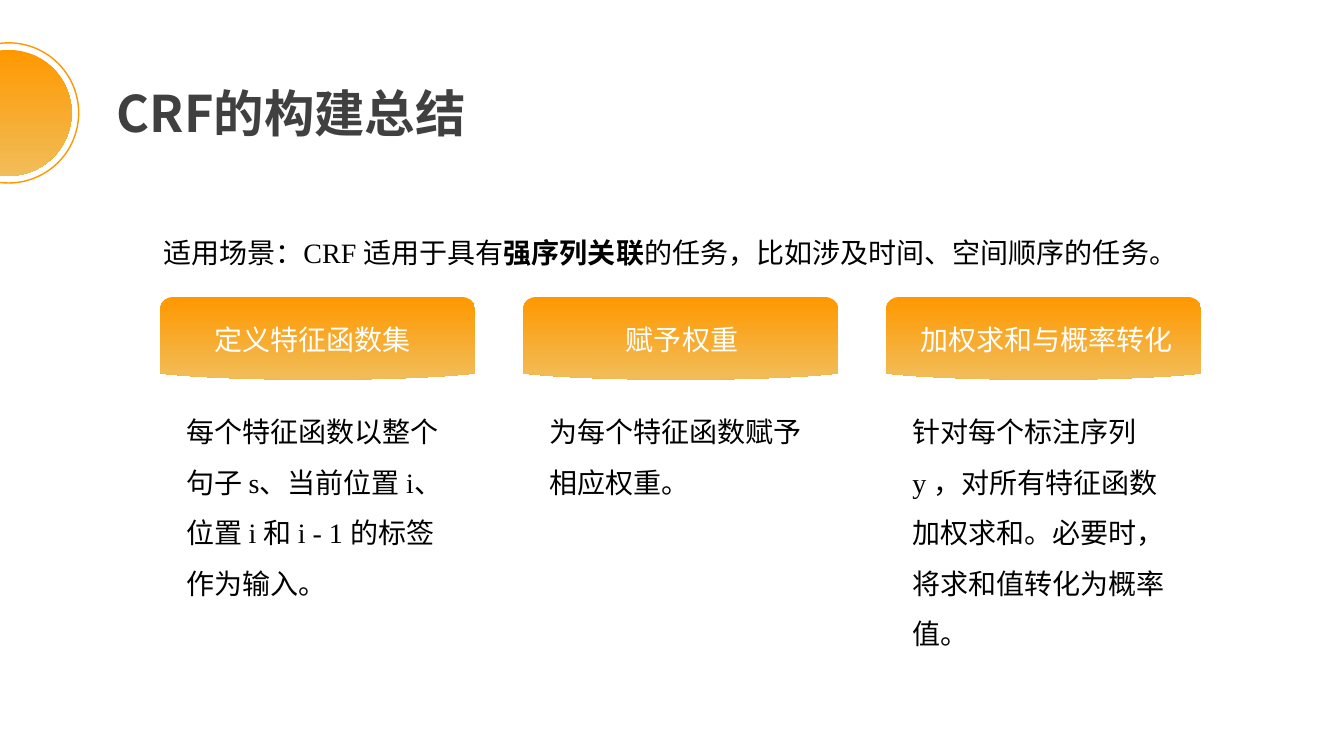
from pptx import Presentation
from pptx.dml.color import RGBColor
from pptx.enum.shapes import MSO_SHAPE as Shape
from pptx.enum.text import MSO_AUTO_SIZE as AutoSize
from pptx.oxml.ns import qn
from pptx.util import Inches, Pt
from lxml import etree

TITLE = "CRF的构建总结"
SCENARIO = [
    ("适用场景：CRF 适用于具有", False),
    ("强序列关联", True),
    ("的任务，比如涉及时间、空间顺序的任务。", False),
]
STEPS = [
    ("定义特征函数集", 2.03, 2.23,
     "每个特征函数以整个句子 s、当前位置 i、位置 i 和 i - 1 的标签作为输入。", 2.12),
    ("赋予权重", 6.11, 1.38, "为每个特征函数赋予相应权重。", 1.11),
    ("加权求和与概率转化", 9.03, 2.73,
     "针对每个标注序列 y ，对所有特征函数加权求和。必要时，将求和值转化为概率值。", 2.12),
]
SANS, SERIF = "Noto Sans CJK SC", "Times New Roman"
ORANGE, SAND, BLACK, GRAY, WHITE = "FF9800", "F1BD59", "000000", "404040", "FFFFFF"
BANNER_LEFT, BANNER_TOP, BANNER_PITCH = 1.59, 2.945, 3.6
PANEL_SIDE, PANEL_ROUNDING = 3.12, 0.043
BANNER_START = (0.13, 0)
BANNER_OUTLINE = [
    [(2.98, 0)],
    [(3.06, 0), (3.12, 0.05), (3.12, 0.11)],
    [(3.12, 0.76)],
    [(2.9, 0.78)],
    [(2.48, 0.81), (2.03, 0.82), (1.56, 0.82)],
    [(1.09, 0.82), (0.64, 0.81), (0.22, 0.78)],
    [(0, 0.76)],
    [(0, 0.11)],
    [(0, 0.05), (0.06, 0), BANNER_START],
]


def color(value):
    return RGBColor.from_string(value)


def add_banner(left):
    def place(point):
        return Inches(left + point[0]), Inches(BANNER_TOP + point[1])

    builder = slide.shapes.build_freeform(*place(BANNER_START))
    builder.add_line_segments([place(segment[-1]) for segment in BANNER_OUTLINE], close=True)
    banner = builder.convert_to_shape()
    edges = list(banner._element.iter(qn("a:lnTo")))
    for edge, segment in zip(edges, BANNER_OUTLINE):
        if len(segment) == 3:
            edge.tag = qn("a:cubicBezTo")
            for index, (x, y) in enumerate(segment[:2]):
                control = etree.Element(qn("a:pt"), x=str(Inches(x)), y=str(Inches(y)))
                edge.insert(index, control)
    paint_gradient(banner)


def paint_gradient(shape):
    shape.shadow.inherit = False
    shape.line.fill.background()
    shape.fill.gradient()
    shape.fill.gradient_angle = 270
    for stop, value in zip(shape.fill.gradient_stops, (ORANGE, SAND)):
        stop.color.rgb = color(value)


def add_panel(left):
    panel = slide.shapes.add_shape(
        Shape.ROUNDED_RECTANGLE, *map(Inches, (left, BANNER_TOP, PANEL_SIDE, PANEL_SIDE - 0.18)))
    panel.adjustments[0] = PANEL_ROUNDING
    panel.shadow.inherit = False
    panel.fill.solid()
    panel.fill.fore_color.rgb = color(WHITE)
    panel.line.fill.background()


def add_circle(center_x, center_y, diameter):
    corner = center_x - diameter / 2, center_y - diameter / 2
    return slide.shapes.add_shape(
        Shape.OVAL, *map(Inches, (*corner, diameter, diameter)))


def add_text(box, parts, size, value, font=SERIF, spacing=None):
    frame = slide.shapes.add_textbox(*map(Inches, box)).text_frame
    frame.word_wrap = True
    frame.auto_size = AutoSize.SHAPE_TO_FIT_TEXT
    paragraph = frame.paragraphs[0]
    paragraph.line_spacing = spacing
    for wording, bold in parts:
        run = paragraph.add_run()
        run.text = wording
        run.font.size = Pt(size)
        run.font.bold = bold
        run.font.name = font
        run.font.color.rgb = color(value)
        etree.SubElement(run.font._element, qn("a:ea")).set("typeface", SANS)


deck = Presentation()
deck.slide_width, deck.slide_height = Inches(13.33), Inches(7.5)
slide = deck.slides.add_slide(deck.slide_layouts[6])

add_text((1.52, 2.2, 10.56, 0.52), SCENARIO, 20, BLACK, spacing=1.25)

lefts = [BANNER_LEFT + index * BANNER_PITCH for index in range(len(STEPS))]
for left in lefts[1:]:
    add_panel(left)
for left in lefts:
    add_banner(left)
for left, (_, _, _, detail, height) in zip(lefts, STEPS):
    add_text((left + 0.16, 3.9, 2.8, height), [(detail, False)], 20, BLACK, spacing=1.5)

add_text((1.06, 0.77, 4.82, 0.71), [(TITLE, True)], 36, GRAY, SANS)
paint_gradient(add_circle(0.085, 1.12, 1.25))
ring = add_circle(0.085, 1.12, 1.39)
ring.shadow.inherit = False
ring.fill.background()
ring.line.color.rgb = color(ORANGE)
ring.line.width = Pt(1)

for heading, left, width, _, _ in STEPS:
    add_text((left, 3.15, width, 0.44), [(heading, False)], 20, WHITE)

deck.save("out.pptx")
